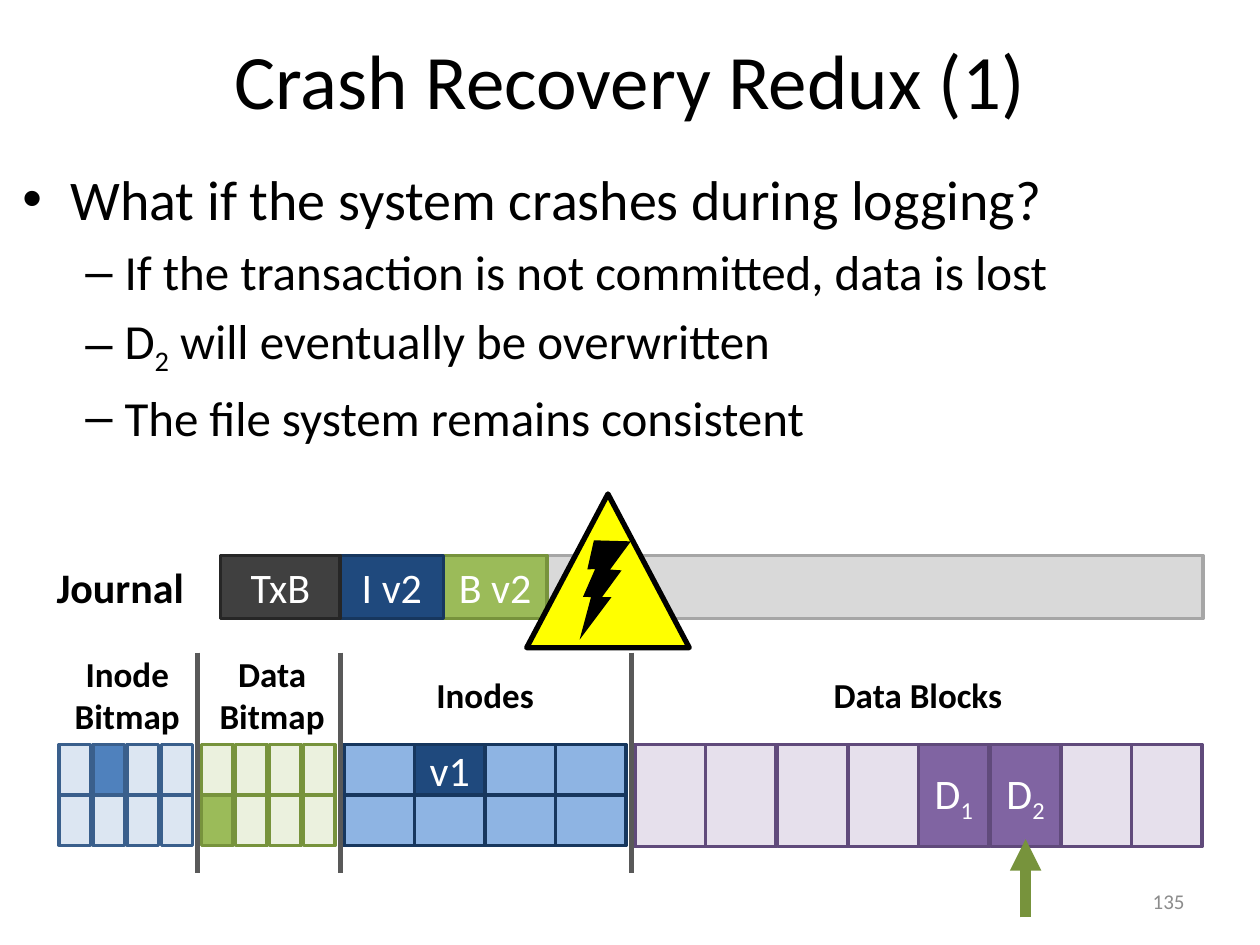
from lxml.etree import SubElement
from pptx import Presentation
from pptx.dml.color import RGBColor
from pptx.enum.shapes import MSO_CONNECTOR, MSO_SHAPE
from pptx.enum.text import MSO_ANCHOR, MSO_AUTO_SIZE, PP_ALIGN
from pptx.oxml.ns import qn
from pptx.util import Pt

PX = 9144  # 100 px to the inch
FONT = "Calibri"
HUES = {
    "black": "000000", "white": "FFFFFF", "grey": "8C8C8C", "rule": "595959",
    "log": "D9D9D9", "log_edge": "A6A6A6", "dark": "404040", "dark_edge": "262626",
    "navy": "1F497D", "navy_edge": "17375E", "sky": "8EB4E3",
    "blue": "4F81BD", "blue_edge": "3A5F8C", "ice": "DCE6F2",
    "green": "9BBB59", "green_edge": "77933C", "mint": "EBF1DE",
    "plum": "8064A2", "plum_edge": "604A7B", "lilac": "E6E0EC",
    "yellow": "FFFF00",
}
LEFT, MID, RIGHT = PP_ALIGN.LEFT, PP_ALIGN.CENTER, PP_ALIGN.RIGHT


def hue(name):
    return RGBColor.from_string(HUES[name])


class Deck:
    def __init__(self, wide, high):
        self.show = Presentation()
        self.show.slide_width, self.show.slide_height = wide * PX, high * PX
        self.slide = self.show.slides.add_slide(self.show.slide_layouts[6])
        self.shapes = self.slide.shapes

    def style(self, para, size, color, bold=False, align=LEFT):
        """Format a paragraph; text between bars is set as subscript."""
        parts = para.text.split("|")
        para.text = parts[0]
        for part in parts[1:]:
            para.add_run().text = part
        para.alignment = align
        for i, run in enumerate(para.runs):
            font = run.font
            font.name, font.size, font.bold = FONT, Pt(size), bold
            font.color.rgb = hue(color)
            if i % 2:
                font._element.set("baseline", "-25000")

    def text(self, box, words, size, color="black", bold=False, align=MID,
             anchor=MSO_ANCHOR.MIDDLE, wrap=True):
        shape = self.shapes.add_textbox(*(n * PX for n in box))
        frame = shape.text_frame
        frame.text = words
        frame.word_wrap = wrap
        frame.vertical_anchor = anchor
        if not wrap:
            frame.auto_size = MSO_AUTO_SIZE.SHAPE_TO_FIT_TEXT
        for para in frame.paragraphs:
            self.style(para, size, color, bold, align)
        return frame

    def label(self, box, words, size=20, align=MID):
        self.text(box, words, size, bold=True, align=align,
                  anchor=MSO_ANCHOR.TOP, wrap=False)

    def list(self, box, items):
        """Write (level, words) items with bullets."""
        looks = [(32, 38, 38, "•"), (28, 81, 31, "–")]
        frame = self.text(box, "\n".join(words for _, words in items), 28,
                          align=LEFT, anchor=MSO_ANCHOR.TOP)
        for i, (para, (level, _)) in enumerate(zip(frame.paragraphs, items)):
            size, left, hang, mark = looks[level]
            props = para._p.get_or_add_pPr()
            props.set("marL", str(left * PX))
            props.set("indent", str(-hang * PX))
            SubElement(props, qn("a:buFont")).set("typeface", "Arial")
            SubElement(props, qn("a:buChar")).set("char", mark)
            para.level = level
            for run in para.runs:
                run.font.size = Pt(size)
            if i:
                para.space_before = Pt(size * 0.2)

    def shape(self, box, fill, edge=None, words="", kind=MSO_SHAPE.RECTANGLE, width=2):
        item = self.shapes.add_shape(kind, *(n * PX for n in box))
        item.shadow.inherit = False
        item.fill.solid()
        item.fill.fore_color.rgb = hue(fill)
        if edge:
            item.line.color.rgb = hue(edge)
            item.line.width = Pt(width)
        else:
            item.line.fill.background()
        if words:
            frame = item.text_frame
            frame.text = words
            frame.vertical_anchor = MSO_ANCHOR.MIDDLE
            self.style(frame.paragraphs[0], 24, "white", align=MID)
        return item

    def grid(self, left, step, size, cols, rows, fill, edge, marked):
        """Draw a block of cells; marked maps (row, col) to (fill, words)."""
        for row in range(rows):
            for col in range(cols):
                tint, words = marked.get((row, col), (fill, ""))
                spot = (round(left + col * step), 591 + row * 40)
                self.shape(spot + size, tint, edge, words)

    def line(self, start, end, color, width, arrow=False):
        ends = (n * PX for n in start + end)
        item = self.shapes.add_connector(MSO_CONNECTOR.STRAIGHT, *ends)
        item.line.color.rgb = hue(color)
        item.line.width = Pt(width)
        if arrow:
            SubElement(item.line._get_or_add_ln(), qn("a:tailEnd")).set("type", "triangle")
        SubElement(item._element.spPr, qn("a:effectLst"))


def main():
    deck = Deck(1000, 750)
    deck.text((50, 0, 900, 125), "Crash Recovery Redux (1)", 44)
    deck.list((8, 126, 985, 266), [
        (0, "What if the system crashes during logging?"),
        (1, "If the transaction is not committed, data is lost"),
        (1, "D|2| will eventually be overwritten"),
        (1, "The file system remains consistent"),
    ])
    deck.text((717, 695, 233, 40), "135", 12, "grey", align=RIGHT)

    # Journal
    deck.shape((175, 441, 780, 50), "log", "log_edge")
    deck.label((35, 441, 122, 50), "Journal", 24, LEFT)
    for left, wide, tint, edge, words in [
        (352, 82, "green", "green_edge", "B v2"),
        (270, 82, "navy", "navy_edge", "I v2"),
        (175, 95, "dark", "dark_edge", "TxB"),
    ]:
        deck.shape((left, 441, wide, 50), tint, edge, words)

    # Disk areas
    deck.grid(47, 27, (25, 40), 4, 2, "ice", "blue_edge", {(0, 1): ("blue", "")})
    deck.grid(160, 27, (25, 40), 4, 2, "mint", "green_edge", {(1, 0): ("green", "")})
    deck.grid(273, 56, (56, 40), 4, 2, "sky", "navy_edge", {(0, 1): ("navy", "v1")})
    deck.grid(504, 56.3, (56, 81), 8, 1, "lilac", "plum_edge",
              {(0, 4): ("plum", "D|1"), (0, 5): ("plum", "D|2")})
    deck.label((49, 513, 104, 77), "Inode\nBitmap")
    deck.label((164, 513, 104, 77), "Data\nBitmap")
    deck.label((336, 530, 98, 44), "Inodes")
    deck.label((651, 530, 155, 44), "Data Blocks")
    for x in (157, 270, 501):
        deck.line((x, 518), (x, 693), "rule", 3)

    # Crash sign
    deck.shape((418, 392, 129, 122), "yellow", "black",
               kind=MSO_SHAPE.ISOSCELES_TRIANGLE, width=3)
    bolt = deck.shape((444, 429, 68, 68), "black", kind=MSO_SHAPE.LIGHTNING_BOLT)
    bolt.rotation = 336.9
    bolt._element.spPr.xfrm.set("flipH", "1")

    deck.line((814, 728), (814, 666), "green_edge", 6, arrow=True)
    deck.show.save("out.pptx")


if __name__ == "__main__":
    main()
